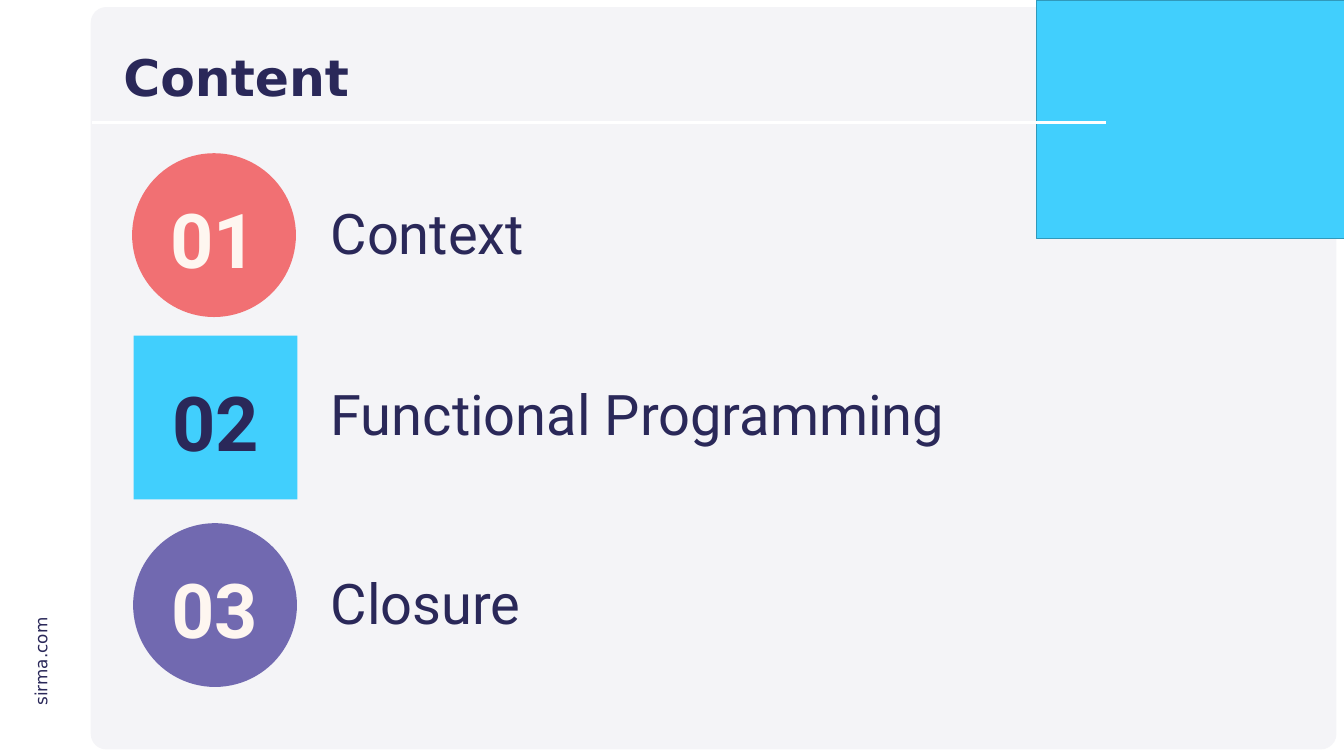
from pptx import Presentation
from pptx.dml.color import RGBColor
from pptx.enum import shapes, text
from pptx.oxml import parse_xml
from pptx.oxml.ns import nsdecls
from pptx.util import Inches, Pt

TITLE = "Content"
SITE = "sirma.com"
AGENDA = [
    {"number": "01", "topic": "Context", "badge": "OVAL", "fill": "coral",
     "ink": "cream", "left": 2.62, "top": 3.04, "topic_top": 3.89},
    {"number": "02", "topic": "Functional Programming", "badge": "RECTANGLE", "fill": "sky",
     "ink": "navy", "left": 2.65, "top": 6.66, "topic_top": 7.48},
    {"number": "03", "topic": "Closure", "badge": "OVAL", "fill": "violet",
     "ink": "cream", "left": 2.64, "top": 10.38, "topic_top": 11.23},
]
THEME = {
    "colors": {"navy": "2A2859", "sky": "41CFFD", "sky_edge": "3099BB", "coral": "F17073",
               "violet": "7169B0", "cream": "FEF6F0", "panel": "F4F4F7", "white": "FFFFFF"},
    "fonts": {"heading": "DejaVu Sans", "body": "Roboto"},
    "sizes": {"title": 72, "number": 108, "topic": 80, "site": 24},
}
BADGE_SIZE = 3.25
NUMBER_OFFSET = 0.72
NUMBER_BOX = (3.75, 1.92)
TOPIC_LEFT = 6.46
TOPIC_BOX = (15.47, 1.45)


def color(name):
    return RGBColor.from_string(THEME["colors"][name])


def add_block(slide, kind, box, fill, edge=None):
    shape = slide.shapes.add_shape(getattr(shapes.MSO_SHAPE, kind), *map(Inches, box))
    shape.shadow.inherit = False
    shape.fill.solid()
    shape.fill.fore_color.rgb = color(fill)
    if edge:
        shape.line.color.rgb = color(edge)
        shape.line.width = Pt(1)
    else:
        shape.line.fill.background()
    return shape


def add_text(slide, box, content, role, font, ink="navy", bold=False,
             anchor="TOP", align="LEFT", wrap=True):
    shape = slide.shapes.add_textbox(*map(Inches, box))
    frame = shape.text_frame
    frame.word_wrap = wrap
    frame.vertical_anchor = getattr(text.MSO_ANCHOR, anchor)
    paragraph = frame.paragraphs[0]
    paragraph.alignment = getattr(text.PP_ALIGN, align)
    run = paragraph.add_run()
    run.text = content
    run.font.name = THEME["fonts"][font]
    run.font.size = Pt(THEME["sizes"][role])
    run.font.bold = bold
    run.font.color.rgb = color(ink)
    return shape


def add_rule(slide, left, right, top):
    rule = slide.shapes.add_connector(
        shapes.MSO_CONNECTOR.STRAIGHT, Inches(left), Inches(top), Inches(right), Inches(top))
    rule.line.color.rgb = color("white")
    rule.line.width = Pt(3)
    rule._element.spPr.append(parse_xml(f"<a:effectLst {nsdecls('a')}/>"))


def add_frame(slide):
    panel = add_block(slide, "ROUNDED_RECTANGLE", (1.8, 0.14, 24.71, 14.73), "panel")
    panel.adjustments[0] = 0.021
    site = add_text(slide, (-0.18, 12.86, 1.97, 0.5), SITE, "site", "heading", wrap=False)
    site.rotation = 270
    add_block(slide, "RECTANGLE", (20.56, 0, 6.11, 4.73), "sky", "sky_edge")
    add_block(slide, "RECTANGLE", (1.83, 0.53, 18.34, 2.38), "panel")
    add_rule(slide, 1.83, 21.93, 2.43)
    title = add_text(slide, (2.35, 0.8, 19.57, 1.58), TITLE, "title", "heading",
                     bold=True, anchor="MIDDLE")
    title.text_frame.paragraphs[0].line_spacing = 0.9


def add_agenda_item(slide, item):
    left, top = item["left"], item["top"]
    add_block(slide, item["badge"], (left, top, BADGE_SIZE, BADGE_SIZE), item["fill"])
    number_left = left + (BADGE_SIZE - NUMBER_BOX[0]) / 2
    add_text(slide, (number_left, top + NUMBER_OFFSET, *NUMBER_BOX), item["number"],
             "number", "body", item["ink"], bold=True, anchor="BOTTOM", align="CENTER")
    add_text(slide, (TOPIC_LEFT, item["topic_top"], *TOPIC_BOX), item["topic"], "topic", "body")


def main():
    presentation = Presentation()
    presentation.slide_width = Inches(26.66)
    presentation.slide_height = Inches(15)
    slide = presentation.slides.add_slide(presentation.slide_layouts[6])
    add_frame(slide)
    for item in AGENDA:
        add_agenda_item(slide, item)
    presentation.save("out.pptx")


if __name__ == "__main__":
    main()
